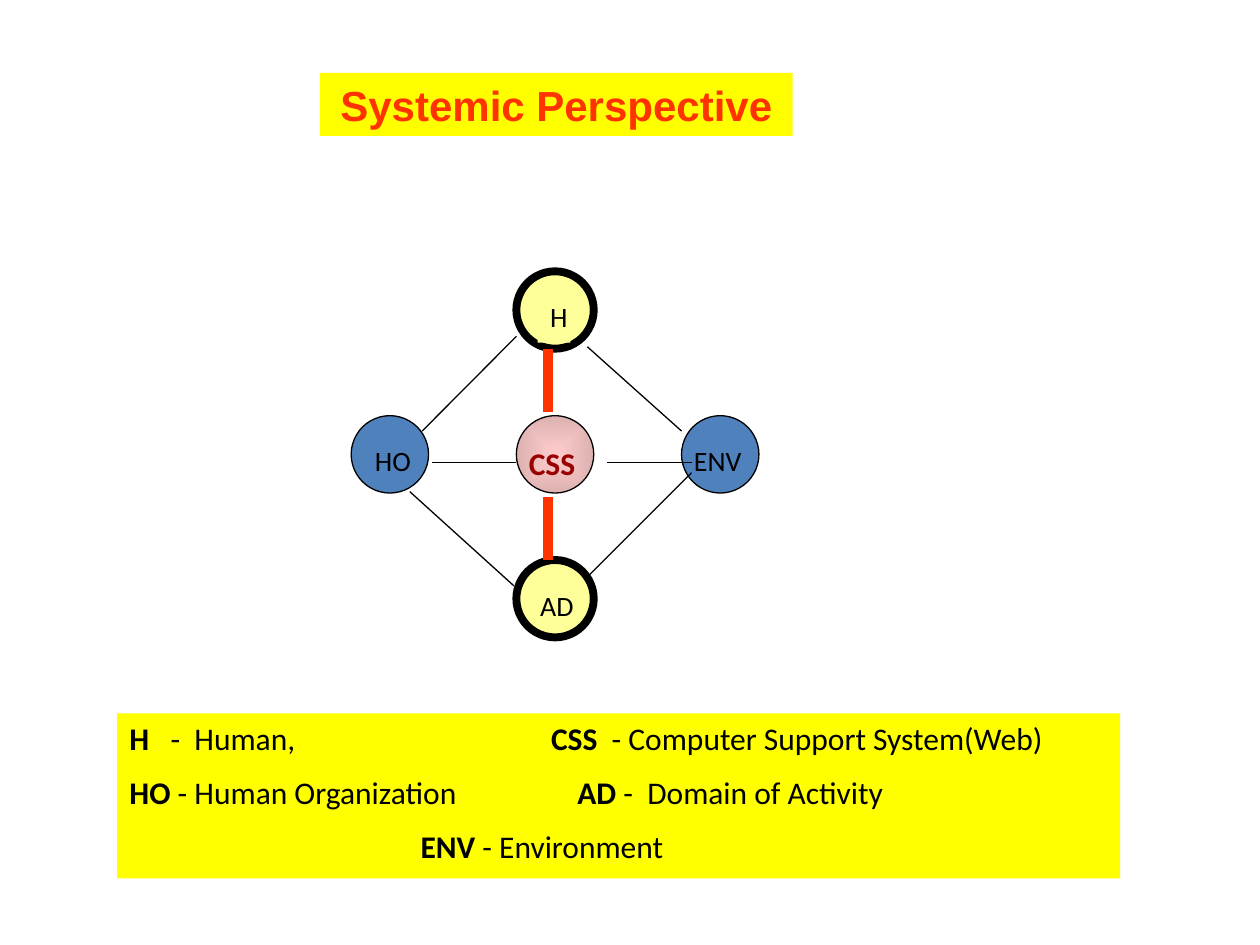
from lxml import etree
from pptx import Presentation
from pptx.dml.color import RGBColor
from pptx.enum.shapes import MSO_CONNECTOR, MSO_SHAPE
from pptx.enum.text import PP_ALIGN
from pptx.oxml import parse_xml
from pptx.oxml.ns import qn
from pptx.util import Cm, Pt

LINE = MSO_CONNECTOR.STRAIGHT
OVAL = MSO_SHAPE.OVAL
LEFT, CENTER = PP_ALIGN.LEFT, PP_ALIGN.CENTER
BLACK, RED, YELLOW, CREAM, BLUE = "000000", "FF3300", "FFFF00", "FFFF99", "4F81BD"
NS = "http://schemas.openxmlformats.org/drawingml/2006/main"

prs = Presentation()
prs.slide_width, prs.slide_height = Cm(25.4), Cm(19.05)
s = prs.slides.add_slide(prs.slide_layouts[6])


def rgb(color):
    return RGBColor.from_string(color)


def add_text(paragraphs, box, size=16, font="Calibri", color=BLACK, bold=False,
             align=LEFT, fill=None, tabs=None, space=0):
    """Each paragraph is a list of runs; bold alternates along it, tabs are in cm."""
    sp = s.shapes.add_textbox(*map(Cm, box))
    if fill:
        sp.fill.solid()
        sp.fill.fore_color.rgb = rgb(fill)
    tf = sp.text_frame
    tf.word_wrap = True
    for i, runs in enumerate(paragraphs):
        p = tf.paragraphs[0] if i == 0 else tf.add_paragraph()
        p.alignment = align
        if i:
            p.space_before = Pt(space)
        if tabs:
            stops = "".join(f'<a:tab pos="{Cm(t)}" algn="l"/>' for t in tabs[i])
            p._p.get_or_add_pPr().append(
                parse_xml(f'<a:tabLst xmlns:a="{NS}">{stops}</a:tabLst>'))
        for j, text in enumerate(runs):
            r = p.add_run()
            r.text = text
            r.font.size, r.font.name = Pt(size), font
            r.font.bold = bold if j % 2 == 0 else not bold
            r.font.color.rgb = rgb(color)


add_text([["Systemic Perspective"]], (6.45, 1.47, 9.53, 1.27), size=24, font="Arial",
         color=RED, bold=True, align=CENTER, fill=YELLOW)

# Nodes sit on a cross around CSS
DIAMETER, MID_X, MID_Y, STEP_X, STEP_Y = 1.56, 10.41, 8.38, 3.33, 2.91
nodes = [
    # label, column, row, fill, line width, label offset, label width, label format
    ("H", 0, -1, CREAM, 4.5, 0.43, 0.66, {"fill": CREAM}),
    ("CSS", 0, 0, None, 0.75, 0, 1.56, {"size": 18, "color": "990000", "bold": True}),
    ("HO", -1, 0, BLUE, 0.75, 0.23, 1.33, {}),
    ("ENV", 1, 0, BLUE, 0.75, 0, 1.56, {}),
    ("AD", 0, 1, CREAM, 4.5, 0.23, 1.33, {}),
]
for label, col, row, fill, width, offset, label_width, style in nodes:
    x, y = MID_X + col * STEP_X, MID_Y + row * STEP_Y
    sp = s.shapes.add_shape(OVAL, Cm(x), Cm(y), Cm(DIAMETER), Cm(DIAMETER))
    sp.shadow.inherit = False
    if fill:
        sp.fill.solid()
        sp.fill.fore_color.rgb = rgb(fill)
    else:
        sp.fill.gradient()
        for stop, color in zip(sp.fill.gradient_stops, ("FFCCCC", "DEB1B1")):
            stop.color.rgb = rgb(color)
        lin = sp._element.spPr.find(".//" + qn("a:lin"))
        lin.getparent().replace(lin, parse_xml(
            f'<a:path xmlns:a="{NS}" path="shape">'
            '<a:fillToRect l="50000" t="50000" r="50000" b="50000"/></a:path>'))
    sp.line.color.rgb = rgb(BLACK)
    sp.line.width = Pt(width)
    add_text([[label]], (x + offset, y + 0.44, label_width, 1), **style)

links = [
    (8.26, 9.91, 10.36, 11.81, BLACK, 0.75),
    (13.94, 9.53, 11.84, 11.63, BLACK, 0.75),
    (11.05, 7.04, 11.05, 8.31, RED, 6),
    (11.05, 10.01, 11.05, 11.28, RED, 6),
    (10.41, 9.32, 8.71, 9.32, BLACK, 0.75),
    (13.94, 9.32, 12.24, 9.32, BLACK, 0.75),
    (10.41, 6.78, 8.51, 8.69, BLACK, 0.75),
    (11.84, 6.99, 13.74, 8.69, BLACK, 0.75),
]
for x1, y1, x2, y2, color, width in links:
    c = s.shapes.add_connector(LINE, Cm(x1), Cm(y1), Cm(x2), Cm(y2))
    c.line.color.rgb = rgb(color)
    c.line.width = Pt(width)
    etree.SubElement(c._element.spPr, qn("a:effectLst"))

legend = [
    ["H", "\t-  Human,\t", "CSS", "  - Computer Support System(Web)"],
    ["HO ", "- Human Organization\t", "AD ", "-  Domain of Activity"],
    ["\tENV", " - Environment"],
]
add_text(legend, (2.36, 14.38, 20.22, 3.33), size=18, bold=True, fill=YELLOW,
         tabs=[(0.83, 8.5), (9.03,), (5.87,)], space=9)

prs.save("out.pptx")
